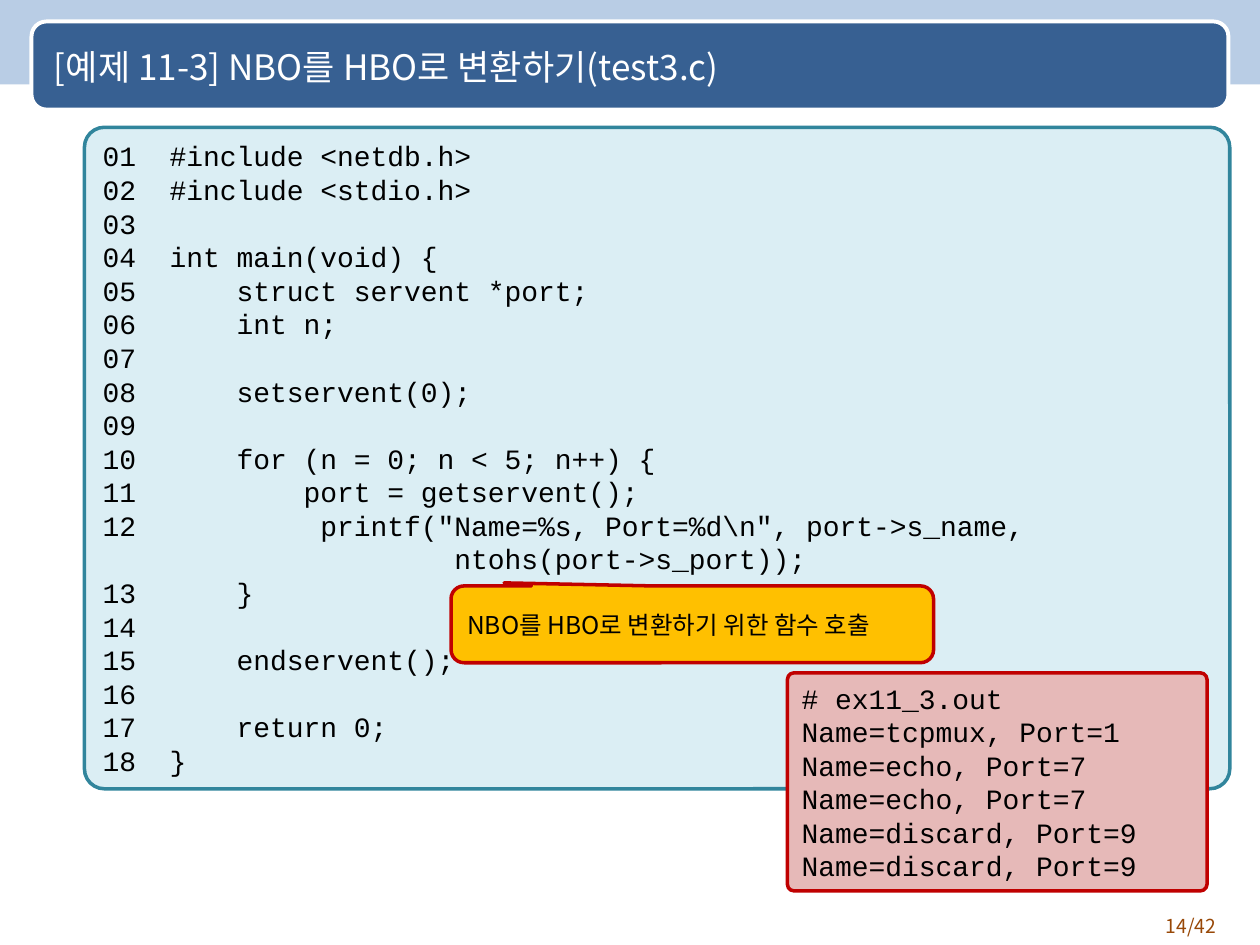
from dataclasses import dataclass

from lxml import etree
from pptx import Presentation
from pptx.dml.color import RGBColor
from pptx.enum.shapes import MSO_SHAPE
from pptx.enum.text import MSO_ANCHOR, MSO_AUTO_SIZE, PP_ALIGN
from pptx.oxml.ns import qn
from pptx.util import Inches, Pt

RECTANGLE = MSO_SHAPE.RECTANGLE
ROUNDED = MSO_SHAPE.ROUNDED_RECTANGLE
CALLOUT = MSO_SHAPE.ROUNDED_RECTANGULAR_CALLOUT
LEFT, RIGHT, JUSTIFY = PP_ALIGN.LEFT, PP_ALIGN.RIGHT, PP_ALIGN.JUSTIFY
TOP, MIDDLE = MSO_ANCHOR.TOP, MSO_ANCHOR.MIDDLE
GROW = MSO_AUTO_SIZE.SHAPE_TO_FIT_TEXT
NO_FIT = MSO_AUTO_SIZE.NONE

SLIDE_WIDTH, SLIDE_HEIGHT = Inches(10), Inches(7.5)
CODE_FONT, KOREAN_FONT = "Courier New", "Noto Sans CJK KR"

CODE_LINES = (
    "#include <netdb.h>",
    "#include <stdio.h>",
    "",
    "int main(void) {",
    "    struct servent *port;",
    "    int n;",
    "",
    "    setservent(0);",
    "",
    "    for (n = 0; n < 5; n++) {",
    "        port = getservent();",
    '         printf("Name=%s, Port=%d\\n", port->s_name,',
    "    }",
    "",
    "    endservent();",
    "",
    "    return 0;",
    "}",
)
PRINTF_LINE = 12
PRINTF_CONTINUATION = "                     ntohs(port->s_port));"
OUTPUT_LINES = (
    "# ex11_3.out",
    "Name=tcpmux, Port=1",
    "Name=echo, Port=7",
    "Name=echo, Port=7",
    "Name=discard, Port=9",
    "Name=discard, Port=9",
)


@dataclass(frozen=True)
class Area:
    left: float
    top: float
    width: float
    height: float

    def lengths(self) -> tuple[int, int, int, int]:
        return (
            int(SLIDE_WIDTH * self.left / 100),
            int(SLIDE_HEIGHT * self.top / 100),
            int(SLIDE_WIDTH * self.width / 100),
            int(SLIDE_HEIGHT * self.height / 100),
        )


@dataclass(frozen=True)
class Writing:
    lines: tuple[str, ...]
    size: int
    font: str = KOREAN_FONT
    colour: str = "000000"
    align: PP_ALIGN = LEFT
    anchor: MSO_ANCHOR = MIDDLE
    fit: MSO_AUTO_SIZE = GROW


@dataclass(frozen=True)
class Panel:
    area: Area
    kind: MSO_SHAPE
    fill: str
    line: str = ""
    line_width: float = 2
    adjustments: tuple[float, ...] = ()
    writing: Writing | None = None


def colour_of(code: str) -> RGBColor:
    return RGBColor.from_string(code)


def number_lines(lines: tuple[str, ...]) -> tuple[str, ...]:
    numbered = [f"{number:02d}  {line}".rstrip() for number, line in enumerate(lines, 1)]
    numbered.insert(PRINTF_LINE, PRINTF_CONTINUATION)
    return tuple(numbered)


def write(box, writing: Writing) -> None:
    frame = box.text_frame
    frame.word_wrap = True
    frame.auto_size = writing.fit
    frame.vertical_anchor = writing.anchor
    for index, line in enumerate(writing.lines):
        para = frame.add_paragraph() if index else frame.paragraphs[0]
        para.alignment = writing.align
        span = para.add_run()
        span.text = line
        span.font.size = Pt(writing.size)
        span.font.color.rgb = colour_of(writing.colour)
        span.font.name = writing.font
        properties = span.font._element
        etree.SubElement(properties, qn("a:ea")).set("typeface", writing.font)


def draw_panel(page, panel: Panel) -> None:
    box = page.shapes.add_shape(panel.kind, *panel.area.lengths())
    box.shadow.inherit = False
    box.fill.solid()
    box.fill.fore_color.rgb = colour_of(panel.fill)
    if panel.line:
        box.line.color.rgb = colour_of(panel.line)
        box.line.width = Pt(panel.line_width)
    else:
        box.line.fill.background()
    for index, value in enumerate(panel.adjustments):
        box.adjustments[index] = value
    if panel.writing:
        write(box, panel.writing)


def draw_label(page, area: Area, writing: Writing) -> None:
    write(page.shapes.add_textbox(*area.lengths()), writing)


HEADER_PANELS = (
    Panel(Area(0, 0, 100, 8.93), RECTANGLE, "B9CDE5"),
    Panel(Area(2.5, 2.27, 95, 9.33), ROUNDED, "376092", "FFFFFF", 2.25, (0.17,)),
)
LABELS = (
    (Area(89.2, 96.13, 8.3, 3.87),
     Writing(("14/42",), 11, colour="984807", align=RIGHT, anchor=TOP, fit=NO_FIT)),
    (Area(3.3, 2.53, 92.5, 8.93),
     Writing(("[예제 11-3] NBO를 HBO로 변환하기(test3.c)",), 20, colour="FFFFFF", fit=NO_FIT)),
)
CONTENT_PANELS = (
    Panel(Area(6.7, 13.47, 90.9, 70), ROUNDED, "DBEEF4", "31859C", adjustments=(0.03,),
          writing=Writing(number_lines(CODE_LINES), 16, CODE_FONT, align=JUSTIFY)),
    Panel(Area(62.5, 71.2, 33.3, 23.07), ROUNDED, "E6B9B8", "C00000", adjustments=(0.03,),
          writing=Writing(OUTPUT_LINES, 16, CODE_FONT, align=JUSTIFY)),
    Panel(Area(35.8, 62, 38.3, 8.13), CALLOUT, "FFC000", "C00000",
          adjustments=(-0.39, -0.54, 0.17),
          writing=Writing(("NBO를 HBO로 변환하기 위한 함수 호출",), 14)),
)


def main() -> None:
    deck = Presentation()
    deck.slide_width, deck.slide_height = SLIDE_WIDTH, SLIDE_HEIGHT
    page = deck.slides.add_slide(deck.slide_layouts[6])
    for panel in HEADER_PANELS:
        draw_panel(page, panel)
    for area, writing in LABELS:
        draw_label(page, area, writing)
    for panel in CONTENT_PANELS:
        draw_panel(page, panel)
    deck.save("out.pptx")


if __name__ == "__main__":
    main()
